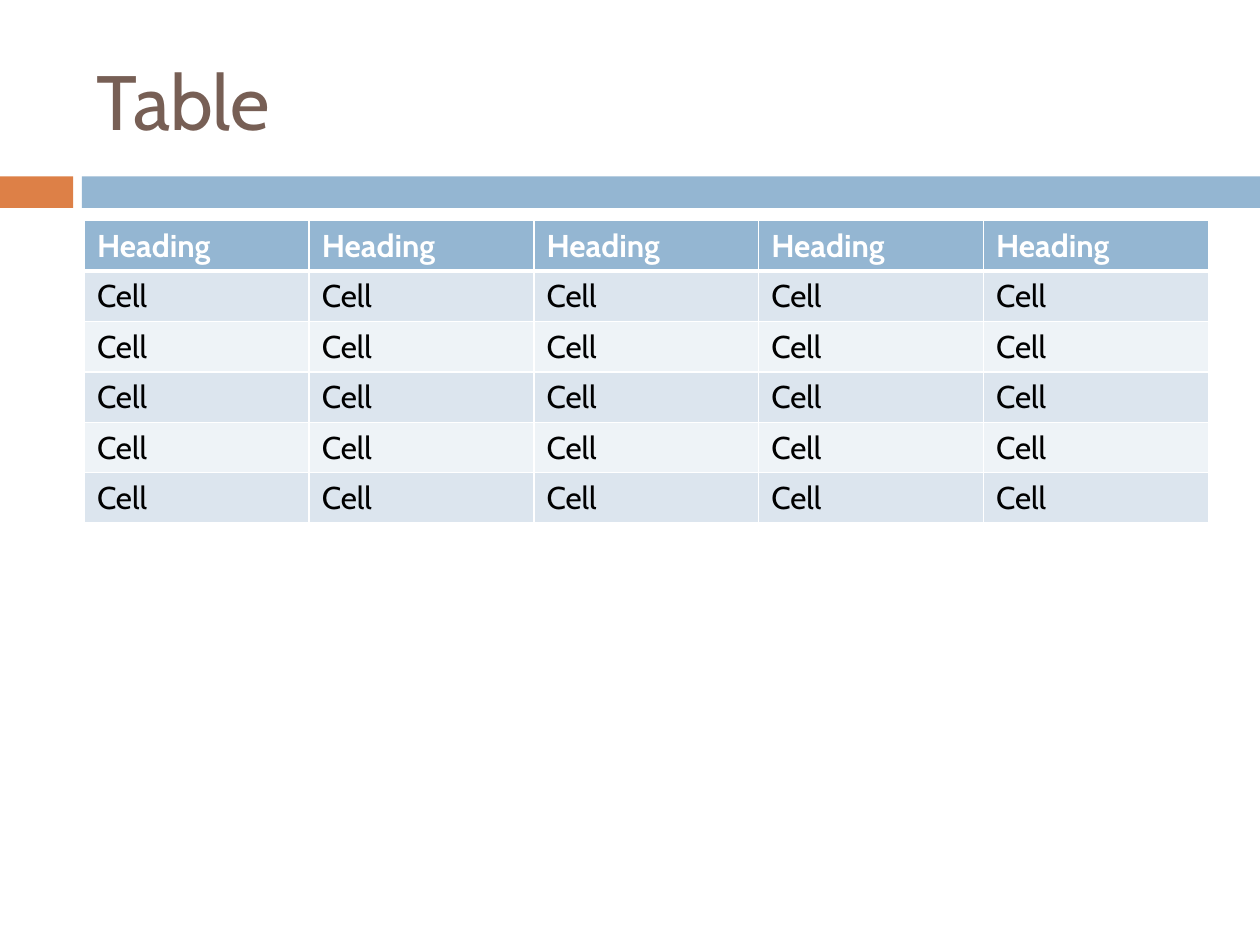
from lxml.etree import SubElement
from pptx import Presentation
from pptx.dml.color import RGBColor
from pptx.enum.shapes import MSO_SHAPE
from pptx.enum.text import MSO_ANCHOR
from pptx.oxml.ns import qn
from pptx.util import Inches, Pt

# Content
TITLE = "Table"
COLS, BODY_ROWS = 5, 4 + 1
ROWS = [["Heading"] * COLS] + [["Cell"] * COLS for _ in range(BODY_ROWS)]
BARS = [(0, 0.58, "DD8047"), (0.65, 9.35, "94B6D2")]  # left, width, fill

# Formats
TITLE_FONT = {"name": "Cabin", "size": Pt(44), "bold": False}
HEAD_FONT = {"name": "Cabin", "size": Pt(18), "bold": True}
BODY_FONT = {"name": "Cabin", "size": Pt(18), "bold": False}
HEAD_FILL, BAND_FILLS = "94B6D2", ("DCE5EE", "EEF3F7")
LEFT, WIDTH, ROW_HEIGHT = 0.67, 8.92, 0.4


def rgb(value):
    return RGBColor.from_string(value)


def write(tf, text, font, color):
    r = tf.paragraphs[0].add_run()
    r.text = text
    for name, value in font.items():
        setattr(r.font, name, value)
    r.font.color.rgb = rgb(color)


def set_borders(cell, widths):
    tcPr = cell._tc.get_or_add_tcPr()
    for i, (side, width) in enumerate(widths.items()):
        ln = tcPr.makeelement(qn(f"a:ln{side}"), {"w": str(Pt(width))})
        fill = SubElement(ln, qn("a:solidFill"))
        SubElement(fill, qn("a:srgbClr"), val="FFFFFF")
        tcPr.insert(i, ln)


prs = Presentation()
prs.slide_width, prs.slide_height = Inches(10), Inches(7.5)
s = prs.slides.add_slide(prs.slide_layouts[6])

# Divider bars
for left, width, color in BARS:
    sp = s.shapes.add_shape(MSO_SHAPE.RECTANGLE, Inches(left), Inches(1.4),
                            Inches(width), Inches(0.25))
    sp.shadow.inherit = False
    sp.fill.solid()
    sp.fill.fore_color.rgb = rgb(color)
    sp.line.fill.background()

# Title
tf = s.shapes.add_textbox(Inches(LEFT), Inches(0.25),
                          Inches(WIDTH), Inches(1.08)).text_frame
tf.word_wrap = True
tf.vertical_anchor = MSO_ANCHOR.MIDDLE
write(tf, TITLE, TITLE_FONT, "775F55")

# Table
table = s.shapes.add_table(len(ROWS), COLS, Inches(LEFT), Inches(1.75),
                           Inches(WIDTH), Inches(ROW_HEIGHT * len(ROWS))).table
for i, row in enumerate(ROWS):
    head = i == 0
    fill = HEAD_FILL if head else BAND_FILLS[(i - 1) % 2]
    font, color = (HEAD_FONT, "FFFFFF") if head else (BODY_FONT, "000000")
    borders = {"L": 1, "R": 1, "T": 3 if i == 1 else 1, "B": 3 if head else 1}
    for j, text in enumerate(row):
        cell = table.cell(i, j)
        cell.fill.solid()
        cell.fill.fore_color.rgb = rgb(fill)
        write(cell.text_frame, text, font, color)
        set_borders(cell, borders)

prs.save("out.pptx")
